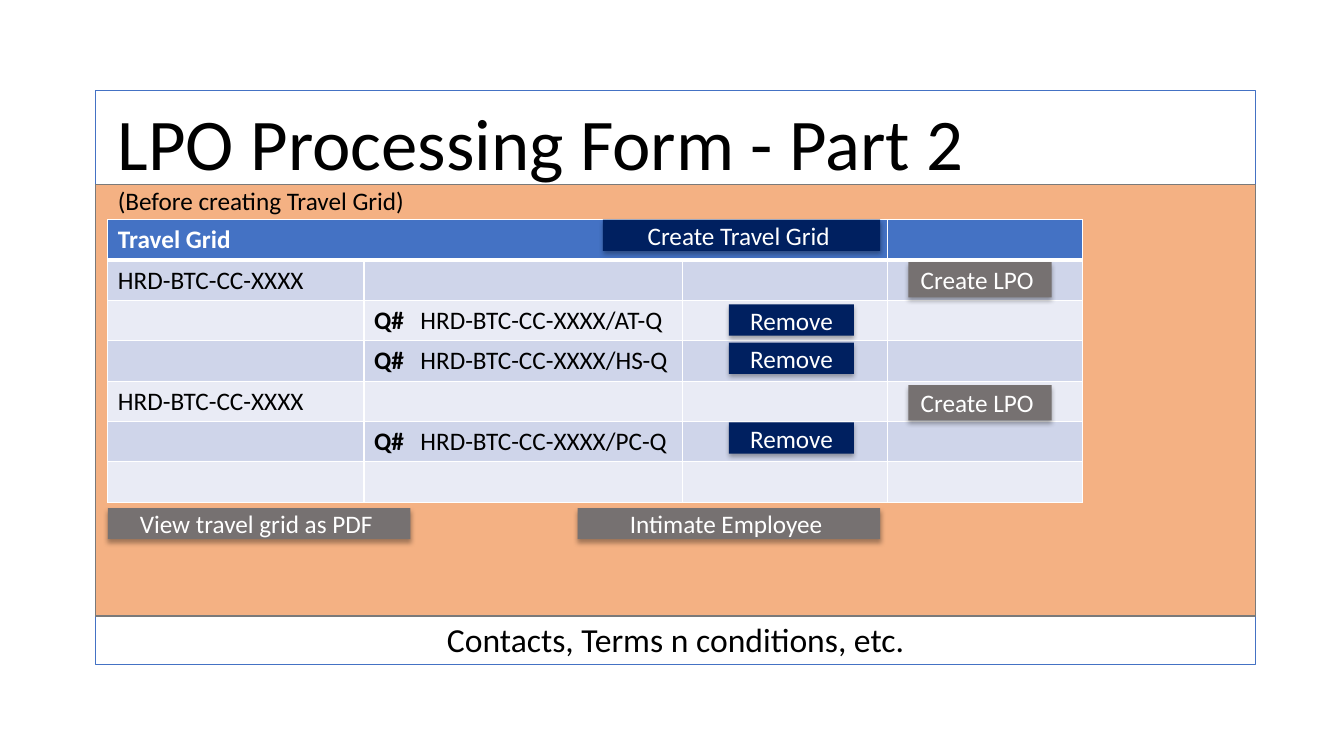
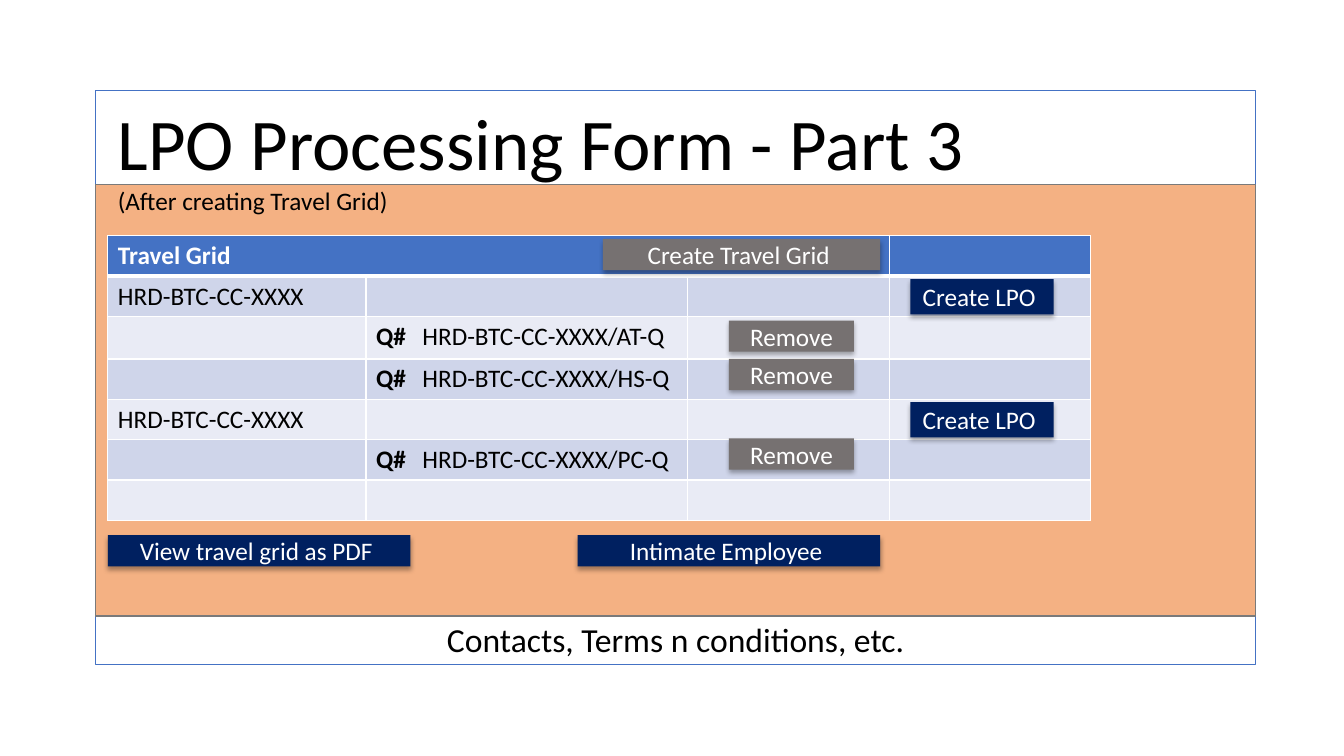
from lxml import etree
from pptx import Presentation
from pptx.dml.color import RGBColor
from pptx.enum.shapes import MSO_SHAPE
from pptx.enum.text import MSO_ANCHOR, MSO_AUTO_SIZE, PP_ALIGN
from pptx.oxml.ns import qn
from pptx.util import Pt

RECT = MSO_SHAPE.RECTANGLE
MIDDLE = MSO_ANCHOR.MIDDLE
FIT_SHAPE = MSO_AUTO_SIZE.SHAPE_TO_FIT_TEXT
LEFT, CENTER = PP_ALIGN.LEFT, PP_ALIGN.CENTER

PX = 9144
FONT = "Calibri"
COLORS = {
    "white": "FFFFFF", "black": "000000", "blue": "4472C4", "orange": "F4B183",
    "outline": "7A7A7A", "band_dark": "CFD5EA", "band_light": "E9EBF5",
    "active": "002060", "inactive": "767171",
}

FOOTER = "Contacts, Terms n conditions, etc."
ROWS = [
    ("Travel Grid", "", "", ""),
    ("HRD-BTC-CC-XXXX", "", "", ""),
    ("", "Q#\tHRD-BTC-CC-XXXX/AT-Q", "", ""),
    ("", "Q#\tHRD-BTC-CC-XXXX/HS-Q", "", ""),
    ("HRD-BTC-CC-XXXX", "", "", ""),
    ("", "Q#\tHRD-BTC-CC-XXXX/PC-Q", "", ""),
    ("", "", "", ""),
]
TABLE_LEFT, QUOTE_INDENT = 107, 46
REMOVE_OFFSETS = (84, 122, 201)
LPO_STEP = 122

SLIDES = [
    {"title": "LPO Processing Form - Part 2", "note": "(Before creating Travel Grid)",
     "top": 218, "cols": (254, 316, 203, 194), "rows": (40,) * 7,
     "create_y": 218, "lpo": (901, 260), "bottom_y": 504,
     "editing": "active", "finishing": "inactive"},
    {"title": "LPO Processing Form - Part 3", "note": "(After creating Travel Grid)",
     "top": 234, "cols": (256, 319, 200, 200), "rows": (40, 40, 42, 40, 40, 40, 40),
     "create_y": 237, "lpo": (903, 277), "bottom_y": 531,
     "editing": "inactive", "finishing": "active"},
]


def px(*values):
    return [v * PX for v in values]


def rgb(name):
    return RGBColor.from_string(COLORS[name])


def style(r, size, color, bold=False):
    r.font.name, r.font.size, r.font.bold = FONT, Pt(size), bold
    r.font.color.rgb = rgb(color)


def add_rect(shapes, box, fill, line=None):
    sp = shapes.add_shape(RECT, *px(*box))
    sp.shadow.inherit = False
    sp.fill.solid()
    sp.fill.fore_color.rgb = rgb(fill)
    if line:
        sp.line.color.rgb = rgb(line)
        sp.line.width = Pt(1)
    else:
        sp.line.fill.background()
    return sp


def add_text(shapes, box, lines, align):
    tf = shapes.add_textbox(*px(*box)).text_frame
    tf.word_wrap = True
    tf.auto_size = FIT_SHAPE
    tf.text = "\n".join(text for text, _ in lines)
    for p, (_, size) in zip(tf.paragraphs, lines):
        p.alignment = align
        style(p.runs[0], size, "black")


def add_button(s, text, box, state):
    sp = add_rect(s.shapes, box, state)
    effects = sp._element.spPr.find(qn("a:effectLst"))
    shadow = etree.SubElement(effects, qn("a:outerShdw"), blurRad=str(Pt(3.5)),
                              dist=str(Pt(2.2)), dir="5400000", rotWithShape="0")
    color = etree.SubElement(shadow, qn("a:srgbClr"), val=COLORS["black"])
    etree.SubElement(color, qn("a:alpha"), val="32000")
    tf = sp.text_frame
    tf.vertical_anchor = MIDDLE
    tf.text = text
    p = tf.paragraphs[0]
    p.alignment = CENTER
    style(p.runs[0], 18, "white")


def add_form(s, title, note):
    shapes = s.shapes.add_group_shape().shapes
    add_rect(shapes, (95, 90, 1150, 569), "white", "blue")
    add_rect(shapes, (95, 183, 1150, 428), "orange", "outline")
    add_text(shapes, (107, 92, 1112, 128), [(title, 52), (note, 18)], LEFT)
    add_text(shapes, (94, 609, 1152, 50), [(FOOTER, 24)], CENTER)


def set_borders(cell, top, bottom):
    tcPr = cell._tc.get_or_add_tcPr()
    for side, width in (("L", 1), ("R", 1), ("T", top), ("B", bottom)):
        ln = etree.SubElement(tcPr, qn("a:ln" + side), w=str(Pt(width)))
        fill = etree.SubElement(ln, qn("a:solidFill"))
        etree.SubElement(fill, qn("a:srgbClr"), val=COLORS["white"])


def fill_cell(cell, row, text):
    set_borders(cell, 3 if row == 1 else 1, 3 if row == 0 else 1)
    cell.fill.solid()
    cell.fill.fore_color.rgb = rgb(
        "blue" if row == 0 else "band_dark" if row % 2 else "band_light")
    if not text:
        return
    p = cell.text_frame.paragraphs[0]
    label, tab, code = text.partition("\t")
    r = p.add_run()
    r.text = label + tab
    style(r, 18, "black" if row else "white", row == 0 or bool(tab))
    if tab:
        pPr = p._p.get_or_add_pPr()
        pPr.set("marL", str(QUOTE_INDENT * PX))
        pPr.set("indent", str(-QUOTE_INDENT * PX))
        r = p.add_run()
        r.text = code
        style(r, 18, "black")


def add_grid(s, top, cols, rows):
    frame = s.shapes.add_table(len(rows), len(cols),
                               *px(TABLE_LEFT, top, sum(cols), sum(rows)))
    table = frame.table
    for column, width in zip(table.columns, cols):
        column.width = width * PX
    for row, height in zip(table.rows, rows):
        row.height = height * PX
    for i, texts in enumerate(ROWS):
        for j, text in enumerate(texts):
            fill_cell(table.cell(i, j), i, text)
    table.cell(0, 0).merge(table.cell(0, 2))


def add_buttons(s, d):
    editing, finishing = d["editing"], d["finishing"]
    bottom, (lpo_x, lpo_y) = d["bottom_y"], d["lpo"]
    add_button(s, "Intimate Employee ", (573, bottom, 300, 31), finishing)
    add_button(s, "View travel grid as PDF ", (TABLE_LEFT, bottom, 300, 31), finishing)
    for offset in REMOVE_OFFSETS:
        add_button(s, "Remove", (723, d["top"] + offset, 124, 31), editing)
    add_button(s, "Create Travel Grid ", (598, d["create_y"], 275, 31), editing)
    for i in range(2):
        add_button(s, "Create LPO ", (lpo_x, lpo_y + i * LPO_STEP, 142, 35), finishing)


def main():
    prs = Presentation()
    prs.slide_width, prs.slide_height = px(1333, 750)
    for d in SLIDES:
        s = prs.slides.add_slide(prs.slide_layouts[6])
        add_form(s, d["title"], d["note"])
        add_grid(s, d["top"], d["cols"], d["rows"])
        add_buttons(s, d)
    prs.save("out.pptx")


if __name__ == "__main__":
    main()
